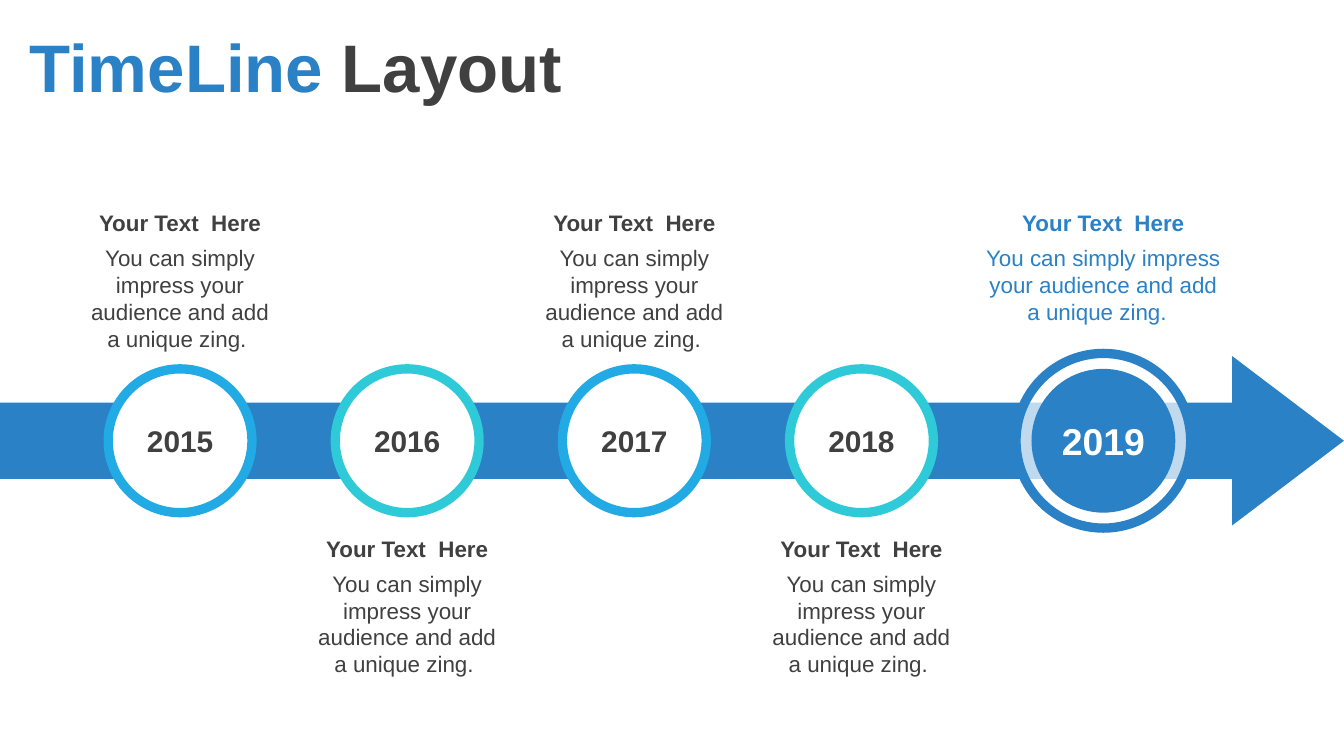
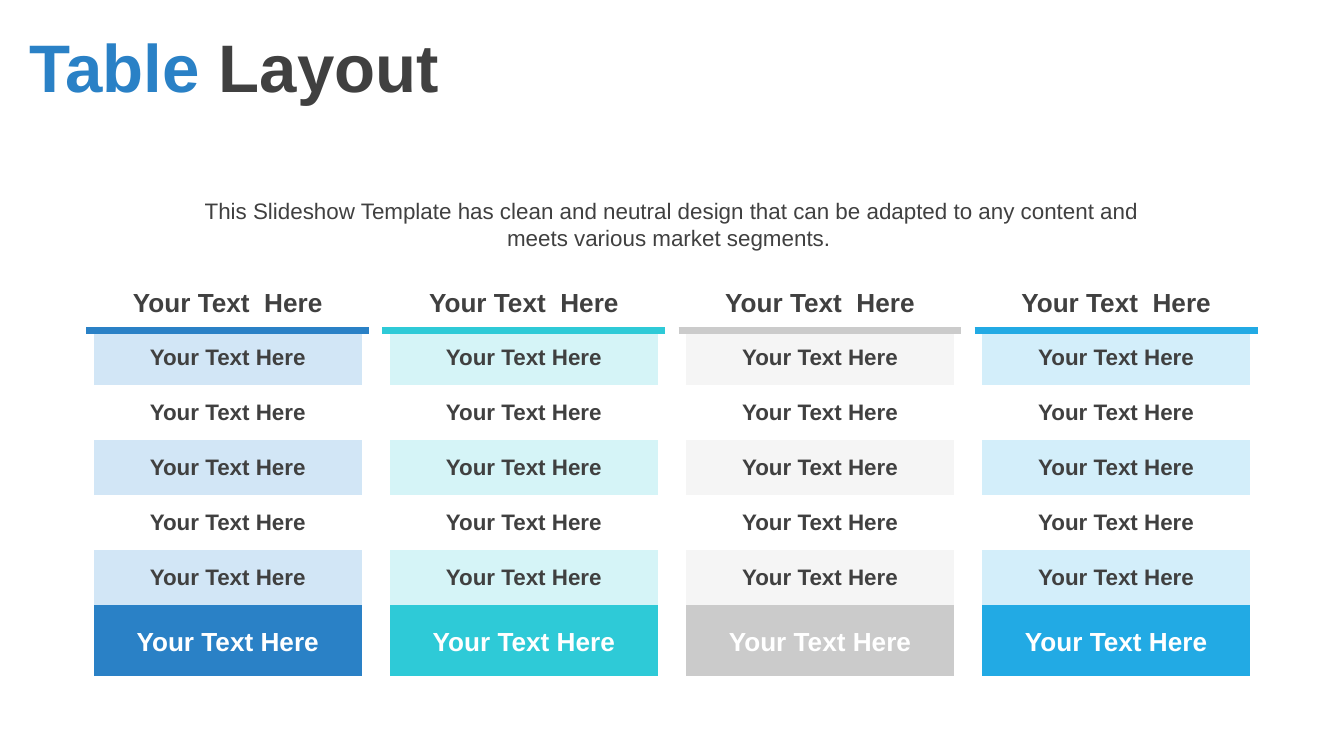
from lxml import etree
from pptx import Presentation
from pptx.dml.color import RGBColor
from pptx.enum.shapes import MSO_SHAPE
from pptx.enum.text import MSO_ANCHOR, MSO_AUTO_SIZE, PP_ALIGN
from pptx.oxml.ns import qn
from pptx.util import Inches, Pt

ARROW, OVAL = MSO_SHAPE.RIGHT_ARROW, MSO_SHAPE.OVAL
MIDDLE = MSO_ANCHOR.MIDDLE
LEFT, CENTER = PP_ALIGN.LEFT, PP_ALIGN.CENTER
NO_FIT, GROW = MSO_AUTO_SIZE.NONE, MSO_AUTO_SIZE.SHAPE_TO_FIT_TEXT

FONT = "Arial"
BLUE, TEAL, SKY, GRAY = "2A81C6", "2ECAD7", "22AAE4", "CBCBCB"
DARK, WHITE = "404040", "FFFFFF"
W = 10
H = W * 9 / 16
rgb = RGBColor.from_string


def write(p, text, size, color, bold=False):
    """Fill a centred paragraph with text in one style."""
    p.text = text
    p.alignment = CENTER
    p.font.name, p.font.size, p.font.bold = FONT, Pt(size), bold
    p.font.color.rgb = rgb(color)


def add_text(s, cx, top, width, height, text, size, color, bold=False):
    """Add a text box centred on the vertical line cx."""
    tf = s.shapes.add_textbox(Inches(cx - width / 2), Inches(top),
                              Inches(width), Inches(height)).text_frame
    tf.word_wrap, tf.auto_size = True, GROW
    write(tf.paragraphs[0], text, size, color, bold)


prs = Presentation()
prs.slide_width, prs.slide_height = Inches(W), Inches(H)

# Both slides share a two-colour title
slides = []
for first, second in (("TimeLine", " Layout"), ("Table ", "Layout")):
    s = prs.slides.add_slide(prs.slide_layouts[5])
    title = s.shapes.title
    title.left, title.top = Inches(0.12), 0
    title.width, title.height = Inches(W - 0.12), Inches(0.97)
    tf = title.text_frame
    tf.vertical_anchor, tf.auto_size = MIDDLE, NO_FIT
    p = tf.paragraphs[0]
    p.alignment = LEFT
    p.font.name, p.font.size, p.font.bold = FONT, Pt(36), True
    for text, color in ((first, BLUE), (second, DARK)):
        r = p.add_run()
        r.text = text
        r.font.color.rgb = rgb(color)
    slides.append(s)
timeline, tables = slides

# Timeline: an arrow with a circle for each year, captions above and below
AXIS_Y = 3.28
FIRST_X, STEP_X, LAST_X = 1.34, 1.69, 8.21
ABOVE, BELOW = 1.51, 3.93
CIRCLE, HALO = 1.07, 1.3
CAPTION = "You can simply impress your audience and add a unique zing. "

# centre, diameter, fill, line
discs = [(FIRST_X + i * STEP_X, CIRCLE, WHITE, (SKY, TEAL)[i % 2]) for i in range(4)]
discs += [(LAST_X, HALO, WHITE, BLUE), (LAST_X, CIRCLE, BLUE, None)]

arrow = timeline.shapes.add_shape(ARROW, 0, Inches(AXIS_Y - 0.63), Inches(W), Inches(1.26))
arrow.adjustments[0], arrow.adjustments[1] = 0.45, 0.66
arrow.shadow.inherit = False
arrow.fill.solid()
arrow.fill.fore_color.rgb = rgb(BLUE)
arrow.line.fill.background()

for cx, d, fill, line in discs:
    sp = timeline.shapes.add_shape(OVAL, Inches(cx - d / 2), Inches(AXIS_Y - d / 2),
                                   Inches(d), Inches(d))
    sp.shadow.inherit = False
    sp.fill.solid()
    sp.fill.fore_color.rgb = rgb(fill)
    if line:
        sp.line.color.rgb = rgb(line)
        sp.line.width = Pt(5)
    else:
        sp.line.fill.background()
    if d == HALO:
        clr = sp.fill._xPr.find(qn("a:solidFill"))[0]
        etree.SubElement(clr, qn("a:alpha")).set("val", "70000")

for i in range(5):
    last = i == 4
    cx = LAST_X if last else FIRST_X + i * STEP_X
    color, width = (BLUE, 2.03) if last else (DARK, 1.59)
    year_size, year_color, year_w, year_h = (20, WHITE, 0.97, 0.44) if last else (16, DARK, 0.73, 0.37)
    top = BELOW if i % 2 else ABOVE
    add_text(timeline, cx, AXIS_Y - year_h / 2, year_w, year_h,
             str(2015 + i), year_size, year_color, True)
    add_text(timeline, cx, top, width, 0.3, "Your Text  Here", 12, color, True)
    add_text(timeline, cx, top + 0.26, width, 0.71 if last else 0.91,
             CAPTION + " " if last else CAPTION, 12, color)

# Tables: four one-column tables, each with its accent and tint
PLAIN_STYLE = "{2D5ABB26-0587-4C30-8999-92F81FD0307C}"
ROWS, TABLE_TOP, TABLE_W, TABLE_H, FOOT_H = 7, 2.05, 2.05, 3.01, 0.56
TABLE_X = 0.67
TABLE_STEP = (W - 2 * TABLE_X - TABLE_W) / 3
ROW_H = (TABLE_H - FOOT_H) / (ROWS - 1)
schemes = [(BLUE, "D2E6F6"), (TEAL, "D5F4F7"), (GRAY, "F5F5F5"), (SKY, "D3EEFA")]

for col, (accent, tint) in enumerate(schemes):
    frame = tables.shapes.add_table(ROWS, 1, Inches(TABLE_X + col * TABLE_STEP), Inches(TABLE_TOP),
                                    Inches(TABLE_W), Inches(TABLE_H))
    table = frame.table
    table.first_row = table.horz_banding = False
    table._tbl.tblPr.find(qn("a:tableStyleId")).text = PLAIN_STYLE
    # colours of the horizontal borders, from the top edge to the bottom edge
    rules = [WHITE, accent] + [None] * (ROWS - 2) + [WHITE]
    for i in range(ROWS):
        head, foot = i == 0, i == ROWS - 1
        table.rows[i].height = Inches(FOOT_H if foot else ROW_H)
        cell = table.cell(i, 0)
        cell.vertical_anchor = MIDDLE
        write(cell.text_frame.paragraphs[0], "Your Text  Here" if head else "Your Text Here",
              14 if head or foot else 12, WHITE if foot else DARK, True)

        tcPr = cell._tc.get_or_add_tcPr()
        for side, color in zip("LRTB", (WHITE, WHITE, rules[i], rules[i + 1])):
            ln = etree.SubElement(tcPr, qn("a:ln" + side))
            if color:
                ln.set("w", str(Pt(4.5)))
                solid = etree.SubElement(ln, qn("a:solidFill"))
                etree.SubElement(solid, qn("a:srgbClr"), val=color)
            else:
                etree.SubElement(ln, qn("a:noFill"))
        cell.fill.solid()
        cell.fill.fore_color.rgb = rgb(accent if foot else tint if i % 2 else WHITE)

add_text(tables, W / 2, 1.42, 7.32, 0.5,
         "This Slideshow Template has clean and neutral design that can be "
         "adapted to any content and meets various market segments. ", 12, DARK)

prs.save("out.pptx")
